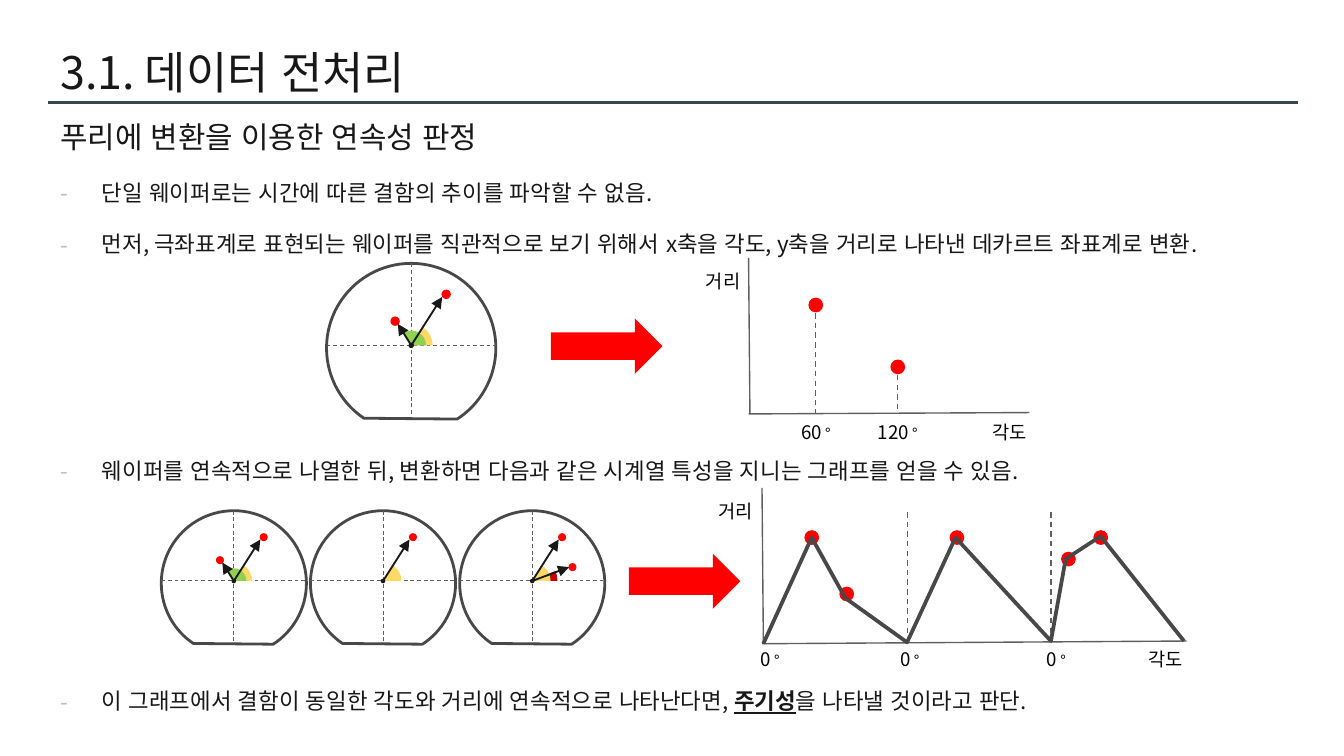
from dataclasses import dataclass

from lxml import etree
from pptx import Presentation
from pptx.dml.color import RGBColor
from pptx.enum.dml import MSO_LINE
from pptx.enum.lang import MSO_LANGUAGE_ID
from pptx.enum.shapes import MSO_CONNECTOR, MSO_SHAPE
from pptx.enum.text import MSO_ANCHOR, PP_ALIGN
from pptx.oxml.ns import qn
from pptx.util import Inches, Pt

OVAL, PIE, CHORD, ARROW = (MSO_SHAPE.OVAL, MSO_SHAPE.PIE, MSO_SHAPE.CHORD,
                           MSO_SHAPE.RIGHT_ARROW)
STRAIGHT, DASH = MSO_CONNECTOR.STRAIGHT, MSO_LINE.DASH
CENTER, TOP, BOTTOM = PP_ALIGN.CENTER, MSO_ANCHOR.TOP, MSO_ANCHOR.BOTTOM
KOREAN = MSO_LANGUAGE_ID.KOREAN
FONT = "Noto Sans CJK KR"
INK, RED, GUIDE, OUTLINE = "181818", "FF0000", "5F5F5F", "484848"
ANGLE_UNIT = 0.6  # adjustment value of one degree
WAFER_SIZE = 1.26
HUB = (0.63, 0.61)

Point = tuple[float, float]


@dataclass(frozen=True)
class Defect:
    """A defect on a full-size wafer, with the sector marking its angle."""
    dot: Point
    tip: Point
    radius: float
    color: str
    start: float


@dataclass(frozen=True)
class Bullet:
    runs: tuple[tuple[str, dict], ...]
    gap: float = 0


FAR = Defect((0.89, 0.23), (0.86, 0.25), 0.16, "FFD966", 303.9)
NEAR = Defect((0.51, 0.43), (0.53, 0.45), 0.11, "92D050", 238.64)
LOW = Defect((0.98, 0.49), (0.95, 0.49), 0.22, "C00000", 336.93)

BULLETS = (
    Bullet((("단일 웨이퍼로는 시간에 따른 결함의 추이를 파악할 수 없음.", {}),)),
    Bullet((("먼저, 극좌표계로 표현되는 웨이퍼를 직관적으로 보기 위해서 "
             "x축을 각도, y축을 거리로 나타낸 데카르트 좌표계로 변환.", {}),)),
    Bullet((("웨이퍼를 연속적으로 나열한 뒤, 변환하면 다음과 같은 "
             "시계열 특성을 지니는 그래프를 얻을 수 있음.", {}),), 93.7),
    Bullet((("이 그래프에서 결함이 동일한 각도와 거리에 연속적으로 나타난다면, ", {}),
            ("주기성", {"bold": True, "underline": True}),
            ("을 나타낼 것이라고 판단.", {})), 95.9),
)

prs = Presentation()
prs.slide_width = Inches(10)
prs.slide_height = prs.slide_width * 9 // 16
slide = prs.slides.add_slide(prs.slide_layouts[6])
shapes = slide.shapes


def paint(target, color: str) -> None:
    """Give a fill or a font its colour."""
    if hasattr(target, "solid"):
        target.solid()
        target.fore_color.rgb = RGBColor.from_string(color)
    else:
        target.color.rgb = RGBColor.from_string(color)


def add_run(paragraph, text: str, size: float, color: str = INK, **style) -> None:
    run = paragraph.add_run()
    run.text = text
    formats = {"name": FONT, "size": Pt(size), "language_id": KOREAN, **style}
    for name, value in formats.items():
        setattr(run.font, name, value)
    paint(run.font, color)
    etree.SubElement(run.font._element, qn("a:ea"), typeface=FONT)


def add_text_frame(x: float, y: float, w: float, h: float, **style):
    frame = shapes.add_textbox(Inches(x), Inches(y), Inches(w), Inches(h)).text_frame
    for name, value in style.items():
        setattr(frame, name, value)
    return frame


def add_label(x: float, y: float, text: str, unit: str = "") -> None:
    """Centre a small axis label on a point."""
    frame = add_text_frame(x - 0.24, y - 0.13, 0.48, 0.27, word_wrap=False,
                           margin_left=0, margin_right=0)
    paragraph = frame.paragraphs[0]
    paragraph.alignment = CENTER
    add_run(paragraph, text, 10, "000000")
    if unit:
        add_run(paragraph, f" {unit}", 8, "000000")


def add_line(start: Point, end: Point, color: str = GUIDE, width: float = 0.75,
             dashed: bool = False, arrow: bool = False) -> None:
    connector = shapes.add_connector(STRAIGHT, *map(Inches, (*start, *end)))
    paint(connector.line.fill, color)
    connector.line.width = Pt(width)
    if dashed:
        connector.line.dash_style = DASH
    if arrow:
        etree.SubElement(connector.line._get_or_add_ln(), qn("a:tailEnd"), type="triangle")
    etree.SubElement(connector._element.spPr, qn("a:effectLst"))


def add_figure(kind, x: float, y: float, w: float, h: float, fill: str,
               outline: str = "", angles: tuple[float, ...] = ()) -> None:
    figure = shapes.add_shape(kind, *map(Inches, (x, y, w, h)))
    figure.shadow.inherit = False
    paint(figure.fill, fill)
    for index, angle in enumerate(angles):
        figure.adjustments[index] = angle * ANGLE_UNIT
    if outline:
        paint(figure.line.fill, outline)
        figure.line.width = Pt(1.5)
    else:
        figure.line.fill.background()


def add_disc(center: Point, diameter: float, color: str, kind=OVAL,
             angles: tuple[float, ...] = ()) -> None:
    x, y = (value - diameter / 2 for value in center)
    add_figure(kind, x, y, diameter, diameter, color, angles=angles)


def add_wafer(left: float, top: float, size: float, defects: tuple[Defect, ...]) -> None:
    scale = size / WAFER_SIZE

    def place(point: Point) -> Point:
        return left + point[0] * scale, top + point[1] * scale

    add_figure(CHORD, left, top, size, size, "FFFFFF", OUTLINE, (123.96, 57.09))
    add_line(place((0.63, 0)), place((0.63, 1.15)), width=0.5, dashed=True)
    add_line(place((0, 0.61)), place((WAFER_SIZE, 0.61)), width=0.5, dashed=True)
    for defect in defects:
        add_disc(place(defect.dot), 0.07 * scale, RED)
    for defect in sorted(defects, key=lambda d: -d.radius):
        add_disc(place(HUB), 2 * defect.radius * scale, defect.color, PIE,
                 (defect.start, 0.08))
    for defect in defects:
        add_line(place(HUB), place(defect.tip), INK, 1, arrow=True)
    add_disc(place(HUB), 0.04 * scale, INK)


# Title and rule
add_line((0.36, 0.76), (9.66, 0.76), "37474F", 1.5)
title = add_text_frame(0.35, 0.2, 9.32, 0.63, word_wrap=True, vertical_anchor=BOTTOM,
                       margin_top=Inches(0.1), margin_bottom=Inches(0.1))
add_run(title.paragraphs[0], "3.1. 데이터 전처리", 24)

# Subtitle and bullets
body = add_text_frame(0.35, 0.78, 9.32, 4.62, word_wrap=True, vertical_anchor=TOP,
                      margin_top=Inches(0.1), margin_bottom=Inches(0.1))
subtitle = body.paragraphs[0]
subtitle.space_after = Pt(6)
add_run(subtitle, "푸리에 변환을 이용한 연속성 판정", 16)
for bullet in BULLETS:
    item = body.add_paragraph()
    item.line_spacing, item.space_after = 1.5, Pt(6)
    if bullet.gap:
        item.space_before = Pt(bullet.gap)
    properties = item._p.get_or_add_pPr()
    properties.set("marL", str(Inches(0.31)))
    properties.set("indent", str(-Inches(0.31)))
    bullet_color = etree.SubElement(properties, qn("a:buClr"))
    etree.SubElement(bullet_color, qn("a:srgbClr"), val="BDBDBD")
    etree.SubElement(properties, qn("a:buFont"), typeface=FONT)
    etree.SubElement(properties, qn("a:buChar"), char="-")
    for text, style in bullet.runs:
        add_run(item, text, 12, **style)

# One wafer turned into a distance-angle plot
add_wafer(2.43, 1.96, WAFER_SIZE, (FAR, NEAR))
add_figure(ARROW, 4.1, 2.37, 0.83, 0.41, RED)
add_line((5.57, 1.92), (5.58, 3.08))
add_line((5.57, 3.08), (7.66, 3.07))
for x, y, angle in ((6.07, 2.27, "60"), (6.68, 2.73, "120")):
    add_disc((x, y), 0.11, RED)
    add_line((x, y + 0.06), (x, 3.07), dashed=True)
    add_label(x, 3.21, angle, "°")
add_label(7.51, 3.21, "각도")
add_label(5.38, 2.09, "거리")

# A row of wafers turned into a time series
for index, defects in enumerate(((FAR, NEAR), (FAR,), (FAR, LOW))):
    add_wafer(1.2 + 1.11 * index, 3.8, 1.08, defects)
add_figure(ARROW, 4.68, 4.12, 0.83, 0.41, RED)
add_line((5.67, 3.63), (5.68, 4.79))
add_line((5.67, 4.79), (8.83, 4.77))
for x in (6.75, 7.82):
    add_line((x, 3.81), (x, 4.78), dashed=True)
for x in (5.73, 6.77, 7.86):
    add_label(x, 4.9, "0", "°")
add_label(8.67, 4.9, "각도")
add_label(5.47, 3.8, "거리")
for peak in ((6.04, 4), (6.3, 4.42), (7.12, 4), (8.19, 4), (7.95, 4.16)):
    add_disc(peak, 0.11, RED)
series = ((5.68, 4.79), (6.04, 4), (6.29, 4.45), (6.75, 4.78), (7.11, 4),
          (7.82, 4.77), (7.93, 4.16), (8.19, 3.99), (8.81, 4.77))
vertices = [(Inches(x), Inches(y)) for x, y in series]
builder = shapes.build_freeform(*vertices[0])
builder.add_line_segments(vertices[1:], close=False)
curve = builder.convert_to_shape()
curve.shadow.inherit = False
curve.fill.background()
paint(curve.line.fill, OUTLINE)
curve.line.width = Pt(2)

prs.save("out.pptx")
